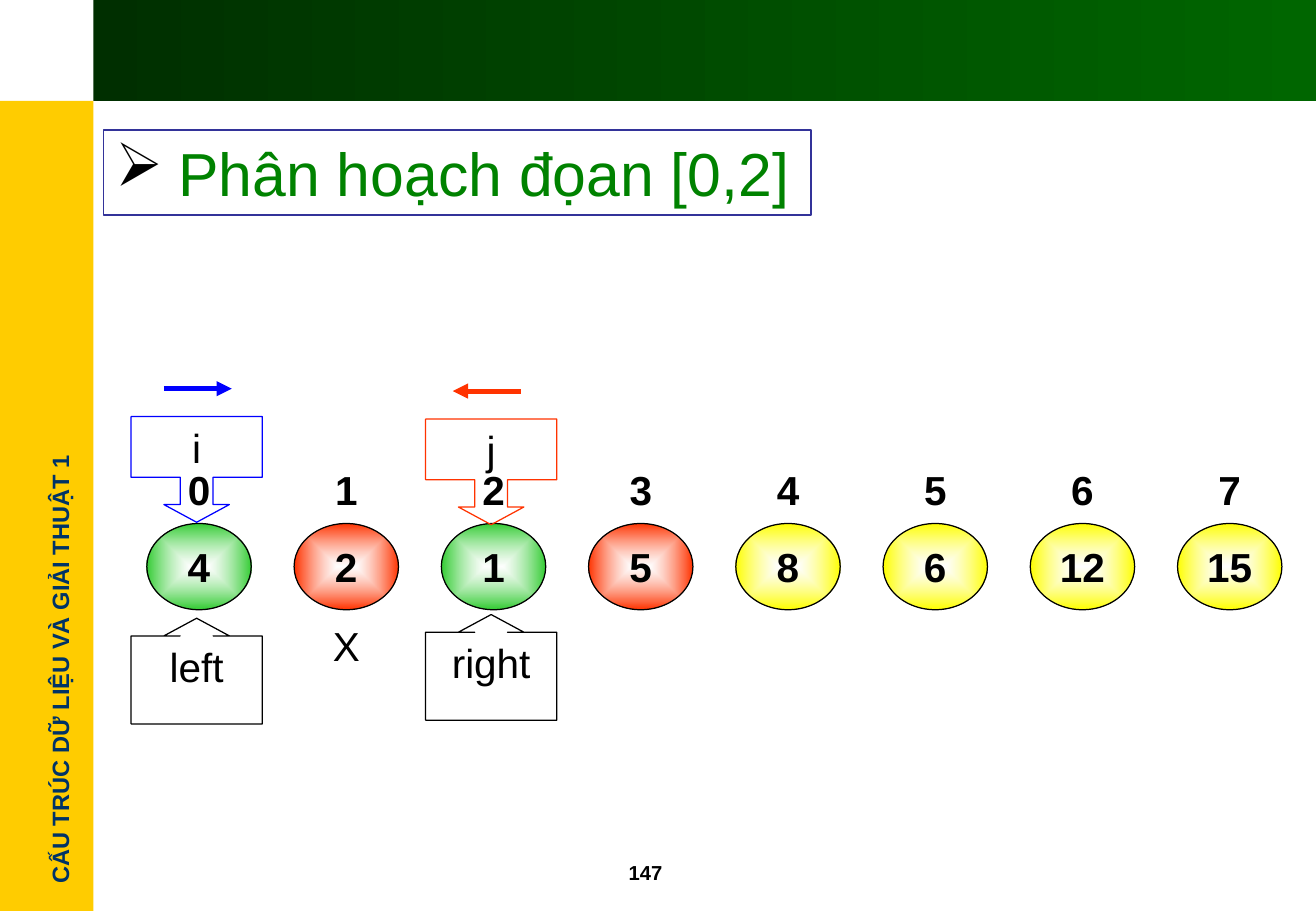
from lxml.etree import SubElement
from pptx import Presentation
from pptx.dml.color import RGBColor
from pptx.enum.shapes import MSO_CONNECTOR, MSO_SHAPE
from pptx.enum.text import MSO_ANCHOR, PP_ALIGN
from pptx.oxml.ns import qn
from pptx.util import Inches, Pt

W, H = 10.84, 7.5
TITLE = "Phân hoạch đọan [0,2]"
COURSE = "CẤU TRÚC DỮ LIỆU VÀ GIẢI THUẬT 1"
PAGE = "147"
BLACK, GREEN, RED, YELLOW, BLUE = "000000", "33CC33", "FF3300", "FFFF00", "0000FF"
CELLS = [("4", GREEN), ("2", RED), ("1", GREEN), ("5", RED),
         ("8", YELLOW), ("6", YELLOW), ("12", YELLOW), ("15", YELLOW)]
# label, column, top, colour, callout shape, body share
CALLOUTS = [
    ("left", 0, 5.09, BLACK, MSO_SHAPE.UP_ARROW_CALLOUT, 0.851),
    ("right", 2, 5.06, BLACK, MSO_SHAPE.UP_ARROW_CALLOUT, 0.851),
    ("i", 0, 3.43, BLUE, MSO_SHAPE.DOWN_ARROW_CALLOUT, 0.575),
    ("j", 2, 3.45, RED, MSO_SHAPE.DOWN_ARROW_CALLOUT, 0.575),
]
# start x, end x, y, colour
MOVES = [(1.35, 1.91, 3.2, BLUE), (4.29, 3.73, 3.22, RED)]
PIVOT = ("X", 1)

SIDE_W, HEAD_H = 0.77, 0.83
CELL_X, CELL_W, CELL_H = 1.21, 0.86, 0.71
PITCH = (9.7 - CELL_X) / (len(CELLS) - 1)
INDEX_Y, CELL_Y, PIVOT_Y = 3.67, 4.31, 5.06
CALL_W, CALL_H = 1.08, 0.87


def rgb(hex_):
    return RGBColor.from_string(hex_)


def column(i):
    return CELL_X + i * PITCH


def write(sp, text, size, color=BLACK, bold=False, align=PP_ALIGN.CENTER,
          anchor=MSO_ANCHOR.MIDDLE, margin=0, wrap=True):
    tf = sp.text_frame
    tf.word_wrap = wrap
    tf.vertical_anchor = anchor
    tf.margin_left = tf.margin_right = Inches(margin)
    tf.margin_top = tf.margin_bottom = Inches(0.05)
    p = tf.paragraphs[0]
    p.alignment = align
    r = p.add_run()
    r.text = text
    r.font.size, r.font.bold, r.font.name = Pt(size), bold, "Arial"
    r.font.color.rgb = rgb(color)


def add_shape(s, kind, x, y, w, h, fill=None, line=None):
    sp = s.shapes.add_shape(kind, Inches(x), Inches(y), Inches(w), Inches(h))
    sp.shadow.inherit = False
    if fill:
        sp.fill.solid()
        sp.fill.fore_color.rgb = rgb(fill)
    else:
        sp.fill.background()
    if line:
        sp.line.color.rgb = rgb(line)
        sp.line.width = Pt(0.75)
    else:
        sp.line.fill.background()
    return sp


def add_text(s, x, y, w, h, *args, **kwargs):
    sp = s.shapes.add_textbox(Inches(x), Inches(y), Inches(w), Inches(h))
    write(sp, *args, **kwargs)
    return sp


def shade(sp, first, last):
    sp.fill.gradient()
    sp.fill.gradient_angle = 0
    for stop, color, place in zip(sp.fill.gradient_stops, (first, last), (0, 1)):
        stop.color.rgb = rgb(color)
        stop.position = place


def shade_from_centre(sp, color):
    shade(sp, "FFFFFF", color)
    grad = sp._element.spPr.find(qn("a:gradFill"))
    SubElement(next(grad.iter(qn("a:srgbClr"))), qn("a:alpha"), val="60000")
    grad.remove(grad.find(qn("a:lin")))
    centre = SubElement(SubElement(grad, qn("a:path"), path="rect"), qn("a:fillToRect"))
    for side in "ltrb":
        centre.set(side, "50000")


def add_title(s):
    title = s.shapes.title
    title.left, title.top = Inches(0.85), Inches(1.07)
    title.width, title.height = Inches(5.83), Inches(0.7)
    title.line.color.rgb = rgb("333399")
    title.line.width = Pt(0.75)
    pPr = title.text_frame.paragraphs[0]._p.get_or_add_pPr()
    pPr.set("marL", str(Inches(0.52)))
    pPr.set("indent", str(-Inches(0.52)))
    SubElement(SubElement(pPr, qn("a:buClr")), qn("a:srgbClr"), val=BLACK)
    SubElement(pPr, qn("a:buChar"), char="➢")
    write(title, TITLE, 36, "008200", align=PP_ALIGN.LEFT, margin=0.1)


def add_move(s, x1, x2, y, color):
    c = s.shapes.add_connector(MSO_CONNECTOR.STRAIGHT, Inches(x1), Inches(y), Inches(x2), Inches(y))
    c.line.color.rgb = rgb(color)
    c.line.width = Pt(3)
    SubElement(c.line._get_or_add_ln(), qn("a:tailEnd"), type="triangle")
    SubElement(c._element.spPr, qn("a:effectLst"))


def main():
    prs = Presentation()
    prs.slide_width, prs.slide_height = Inches(W), Inches(H)
    s = prs.slides.add_slide(prs.slide_layouts[5])

    add_shape(s, MSO_SHAPE.RECTANGLE, 0, HEAD_H, SIDE_W, H - HEAD_H, "FFCC00")
    course = add_text(s, -1.37, 5.34, 3.73, 0.34, COURSE, 14, "003366", True,
                      PP_ALIGN.LEFT, MSO_ANCHOR.TOP, 0.1, False)
    course.rotation = 270
    header = add_shape(s, MSO_SHAPE.RECTANGLE, SIDE_W, 0, W - SIDE_W, HEAD_H)
    shade(header, "002F00", "006600")
    add_text(s, 5.08, 7.03, 0.83, 0.3, PAGE, 12, bold=True, align=PP_ALIGN.LEFT, margin=0.1)
    add_title(s)

    for i, (value, color) in enumerate(CELLS):
        cell = add_shape(s, MSO_SHAPE.OVAL, column(i), CELL_Y, CELL_W, CELL_H, line=BLACK)
        shade_from_centre(cell, color)
        write(cell, value, 24, bold=True)
        add_text(s, column(i), INDEX_Y, CELL_W, CELL_H, str(i), 24, bold=True)

    for label, col, y, color, kind, body in CALLOUTS:
        x = column(col) - 0.13
        callout = add_shape(s, kind, x, y, CALL_W, CALL_H, line=color)
        for n, value in enumerate((0.31, 0.31, 0.167, body)):
            callout.adjustments[n] = value
        write(callout, label, 24, anchor=MSO_ANCHOR.TOP)
    for move in MOVES:
        add_move(s, *move)
    label, col = PIVOT
    add_text(s, column(col), PIVOT_Y, CELL_W, 0.5, label, 24)

    prs.save("out.pptx")


if __name__ == "__main__":
    main()
